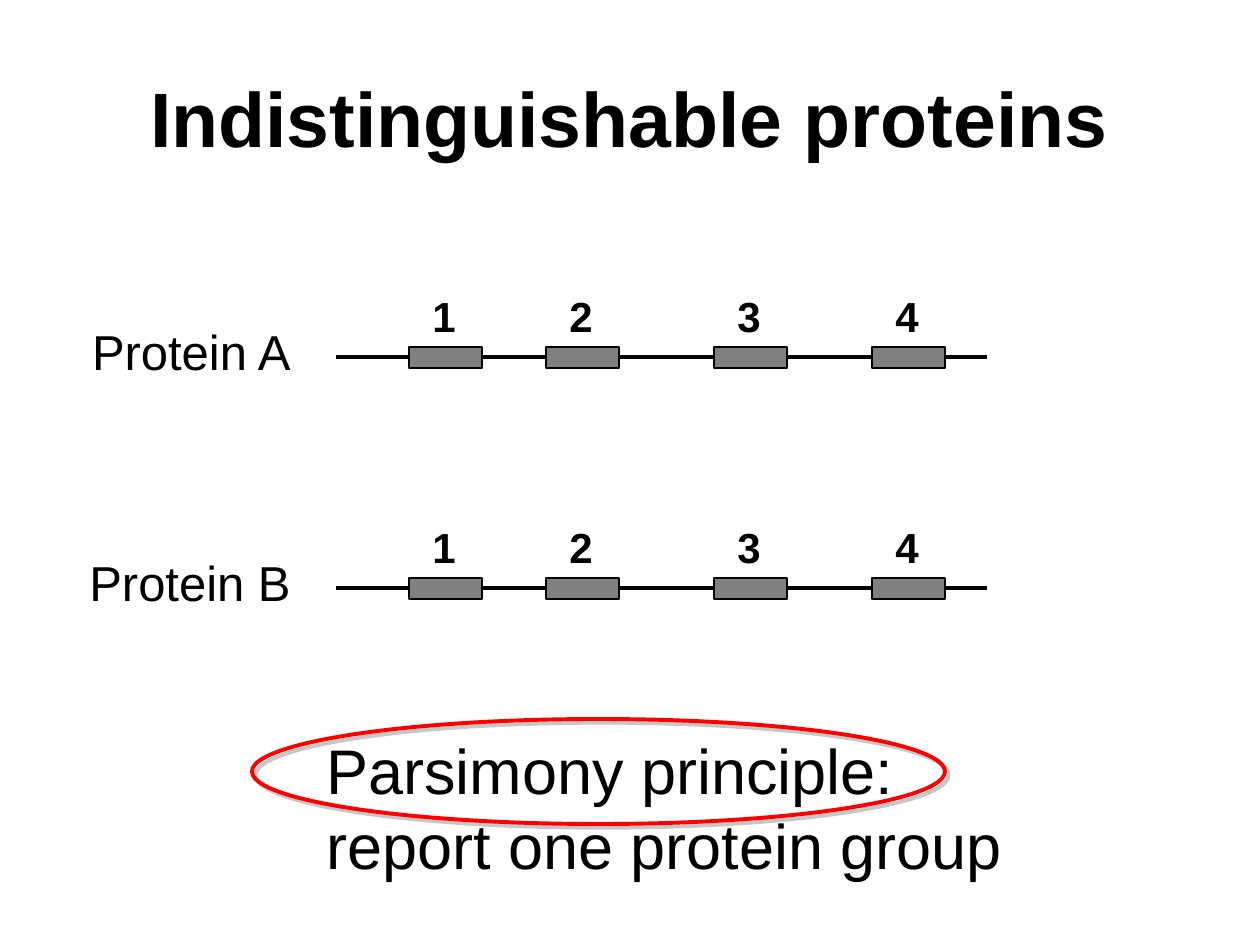
from dataclasses import dataclass

from lxml.etree import SubElement
from pptx import Presentation
from pptx.dml.color import RGBColor
from pptx.enum.shapes import MSO_CONNECTOR, MSO_SHAPE
from pptx.enum.text import MSO_ANCHOR, MSO_AUTO_SIZE, PP_ALIGN
from pptx.oxml.ns import qn
from pptx.util import Emu, Pt

# Content
TITLE = "Indistinguishable proteins"
PROTEINS = [("Protein A", 357), ("Protein B", 588)]  # name, centre line
PEPTIDES = [("1", 409), ("2", 546), ("3", 714), ("4", 872)]  # number, left
PRINCIPLE = ["Parsimony principle:", "report one protein group"]


@dataclass(frozen=True)
class Theme:
    font: str = "Arial"
    ink: str = "000000"
    peptide: str = "808080"
    highlight: str = "FF0000"
    shadow: str = "808080"
    title: int = 44
    principle: int = 36
    label: int = 28
    number: int = 24
    thick: float = 2.25
    thin: float = 1


THEME = Theme()
PX = 914400 // 126
CHAIN_LEFT, CHAIN_RIGHT = 336, 987
NAME_RIGHT, NAME_W, NAME_H = 303, 236, 72
PEPTIDE_W, PEPTIDE_H = 73, 21
NUMBER_W, NUMBER_H = 48, 63


def px(*values):
    return [Emu(v * PX) for v in values]


def rgb(value):
    return RGBColor.from_string(value)


def set_text(tf, lines, size, align, bold=False):
    tf.text = "\n".join(lines)
    for p in tf.paragraphs:
        p.alignment = align
        for r in p.runs:
            r.font.name = THEME.font
            r.font.size = Pt(size)
            r.font.bold = bold
            r.font.color.rgb = rgb(THEME.ink)


def add_label(s, box, lines, size, align=PP_ALIGN.LEFT, bold=False):
    tf = s.shapes.add_textbox(*px(*box)).text_frame
    tf.word_wrap = False
    tf.auto_size = MSO_AUTO_SIZE.SHAPE_TO_FIT_TEXT
    set_text(tf, lines, size, align, bold)


def set_line(sp, color, width):
    sp.line.color.rgb = rgb(color)
    sp.line.width = Pt(width)


def add_protein(s, name, y):
    # Chain and name
    chain = s.shapes.add_connector(
        MSO_CONNECTOR.STRAIGHT, *px(CHAIN_LEFT, y, CHAIN_RIGHT, y))
    set_line(chain, THEME.ink, THEME.thick)
    SubElement(chain._element.spPr, qn("a:effectLst"))
    add_label(s, (NAME_RIGHT - NAME_W, y - 42, NAME_W, NAME_H), [name],
              THEME.label, PP_ALIGN.RIGHT)

    # Numbered peptides
    for number, x in PEPTIDES:
        sp = s.shapes.add_shape(MSO_SHAPE.RECTANGLE, *px(
            x, y - PEPTIDE_H // 2, PEPTIDE_W, PEPTIDE_H))
        sp.shadow.inherit = False
        sp.fill.solid()
        sp.fill.fore_color.rgb = rgb(THEME.peptide)
        set_line(sp, THEME.ink, THEME.thin)
        add_label(s, (x + 11, y - 73, NUMBER_W, NUMBER_H), [number],
                  THEME.number, bold=True)


def add_highlight(s, box):
    sp = s.shapes.add_shape(MSO_SHAPE.OVAL, *px(*box))
    sp.fill.background()
    set_line(sp, THEME.highlight, THEME.thick)
    # Offset shadow, down and to the right
    sp.shadow.inherit = False
    effects = sp._element.spPr.find(qn("a:effectLst"))
    shadow = SubElement(effects, qn("a:outerShdw"), blurRad="0",
                        dist=str(Pt(3)), dir=str(45 * 60000), rotWithShape="0")
    color = SubElement(shadow, qn("a:srgbClr"), val=THEME.shadow)
    SubElement(color, qn("a:alpha"), val="43000")


def main():
    prs = Presentation()
    prs.slide_width, prs.slide_height = px(1260, 945)
    s = prs.slides.add_slide(prs.slide_layouts[5])

    # Title
    title = s.shapes.title
    title.left, title.top, title.width, title.height = px(63, 38, 1134, 157)
    title.text_frame.vertical_anchor = MSO_ANCHOR.MIDDLE
    set_text(title.text_frame, [TITLE], THEME.title, PP_ALIGN.CENTER, True)

    # Proteins
    for name, y in PROTEINS:
        add_protein(s, name, y)

    # Principle
    add_label(s, (314, 725, 701, 164), PRINCIPLE, THEME.principle)
    add_highlight(s, (252, 719, 693, 105))

    prs.save("out.pptx")


if __name__ == "__main__":
    main()
